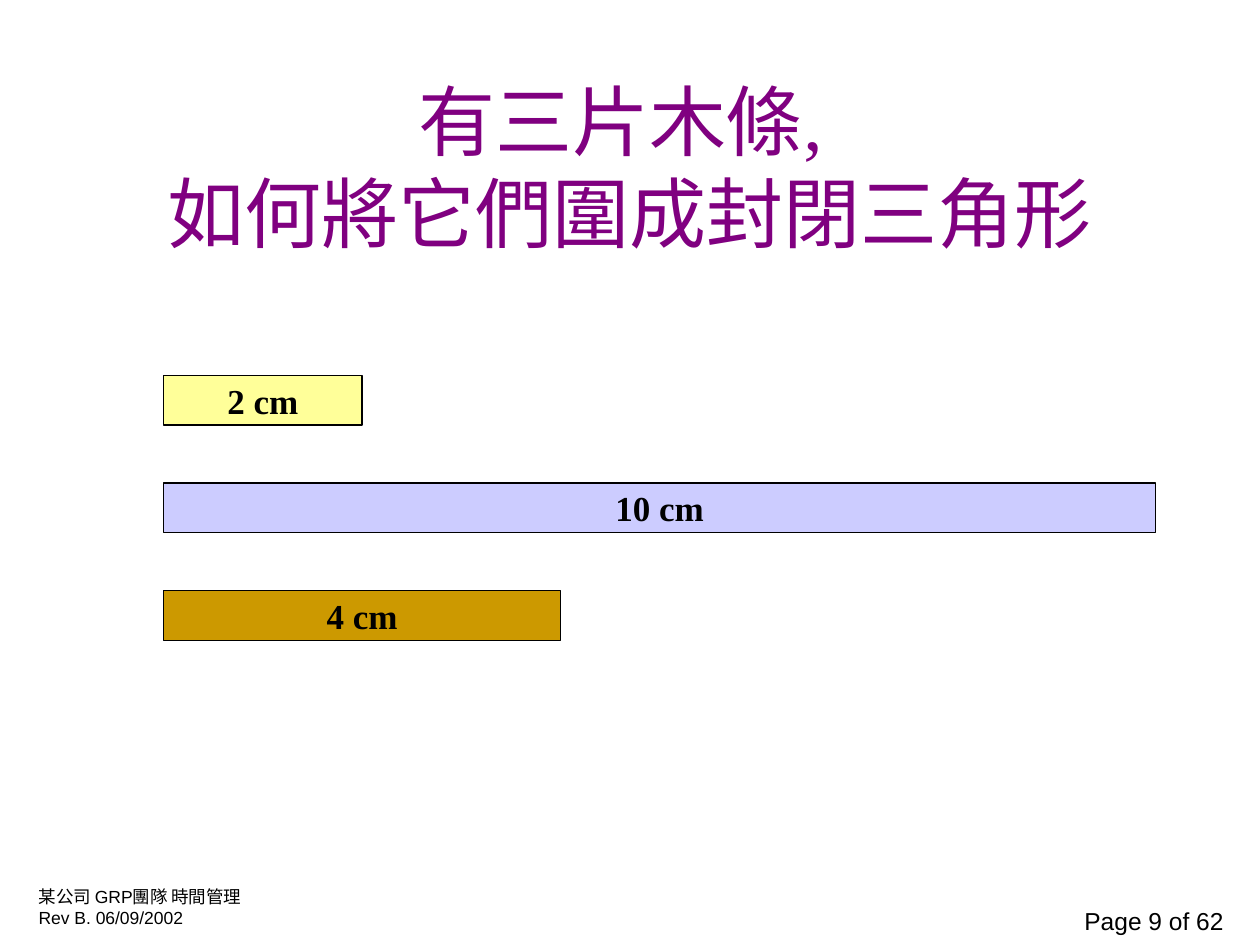
from dataclasses import dataclass

from pptx import Presentation
from pptx.dml.color import RGBColor
from pptx.enum import shapes, text
from pptx.util import Cm, Pt

COLORS = {
    "title": "800080",
    "ink": "000000",
    "yellow": "FFFF99",
    "lilac": "CCCCFF",
    "ochre": "CC9900",
}
SERIF, SANS = "Times New Roman", "Arial"
LEFT, TOP, STEP = 3.3, 7.57, 2.17
SCALE = 2  # drawn centimetres for each labelled one


@dataclass
class Strip:
    size: int
    color: str


@dataclass
class Note:
    lines: list[str]
    box: tuple[float, float, float, float]
    size: int
    align: text.PP_ALIGN


STRIPS = [Strip(2, "yellow"), Strip(10, "lilac"), Strip(4, "ochre")]
NOTES = [
    Note(["Page 9 of 62"], (21.31, 18.14, 3.61, 0.84), 14, text.PP_ALIGN.RIGHT),
    Note(["某公司 GRP團隊 時間管理", "Rev B. 06/09/2002"],
         (0.53, 17.73, 4.78, 1.12), 10, text.PP_ALIGN.LEFT),
]


def rgb(name: str) -> RGBColor:
    return RGBColor.from_string(COLORS[name])


def style(frame, face: str, size: int, color: str, align, bold=False) -> None:
    for para in frame.paragraphs:
        para.alignment = align
        font = para.font
        font.name, font.size, font.bold = face, Pt(size), bold
        font.color.rgb = rgb(color)


def add_title(slide) -> None:
    title = slide.shapes.title
    title.left, title.top = Cm(1.9), Cm(1.75)
    title.width, title.height = Cm(21.6), Cm(3.18)
    frame = title.text_frame
    frame.text = "有三片木條, \v如何將它們圍成封閉三角形"
    frame.auto_size = text.MSO_AUTO_SIZE.NONE
    frame.vertical_anchor = text.MSO_ANCHOR.MIDDLE
    style(frame, SERIF, 44, "title", text.PP_ALIGN.CENTER)


def add_note(slide, note: Note) -> None:
    frame = slide.shapes.add_textbox(*map(Cm, note.box)).text_frame
    frame.word_wrap = False
    frame.text = "\n".join(note.lines)
    style(frame, SANS, note.size, "ink", note.align)


def add_strip(slide, row: int, strip: Strip) -> None:
    bar = slide.shapes.add_shape(
        shapes.MSO_SHAPE.RECTANGLE, Cm(LEFT), Cm(TOP + row * STEP),
        Cm(strip.size * SCALE), Cm(1))
    bar.shadow.inherit = False
    bar.fill.solid()
    bar.fill.fore_color.rgb = rgb(strip.color)
    bar.line.color.rgb = rgb("ink")
    bar.line.width = Pt(0.75)
    frame = bar.text_frame
    frame.word_wrap = False
    frame.vertical_anchor = text.MSO_ANCHOR.MIDDLE
    frame.text = f"{strip.size} cm"
    style(frame, SERIF, 20, "ink", text.PP_ALIGN.CENTER, bold=True)


def main() -> None:
    deck = Presentation()
    deck.slide_width, deck.slide_height = Cm(25.4), Cm(19.05)
    slide = deck.slides.add_slide(deck.slide_layouts.get_by_name("Title Only"))
    for note in NOTES:
        add_note(slide, note)
    add_title(slide)
    for row, strip in enumerate(STRIPS):
        add_strip(slide, row, strip)
    deck.save("out.pptx")


if __name__ == "__main__":
    main()
